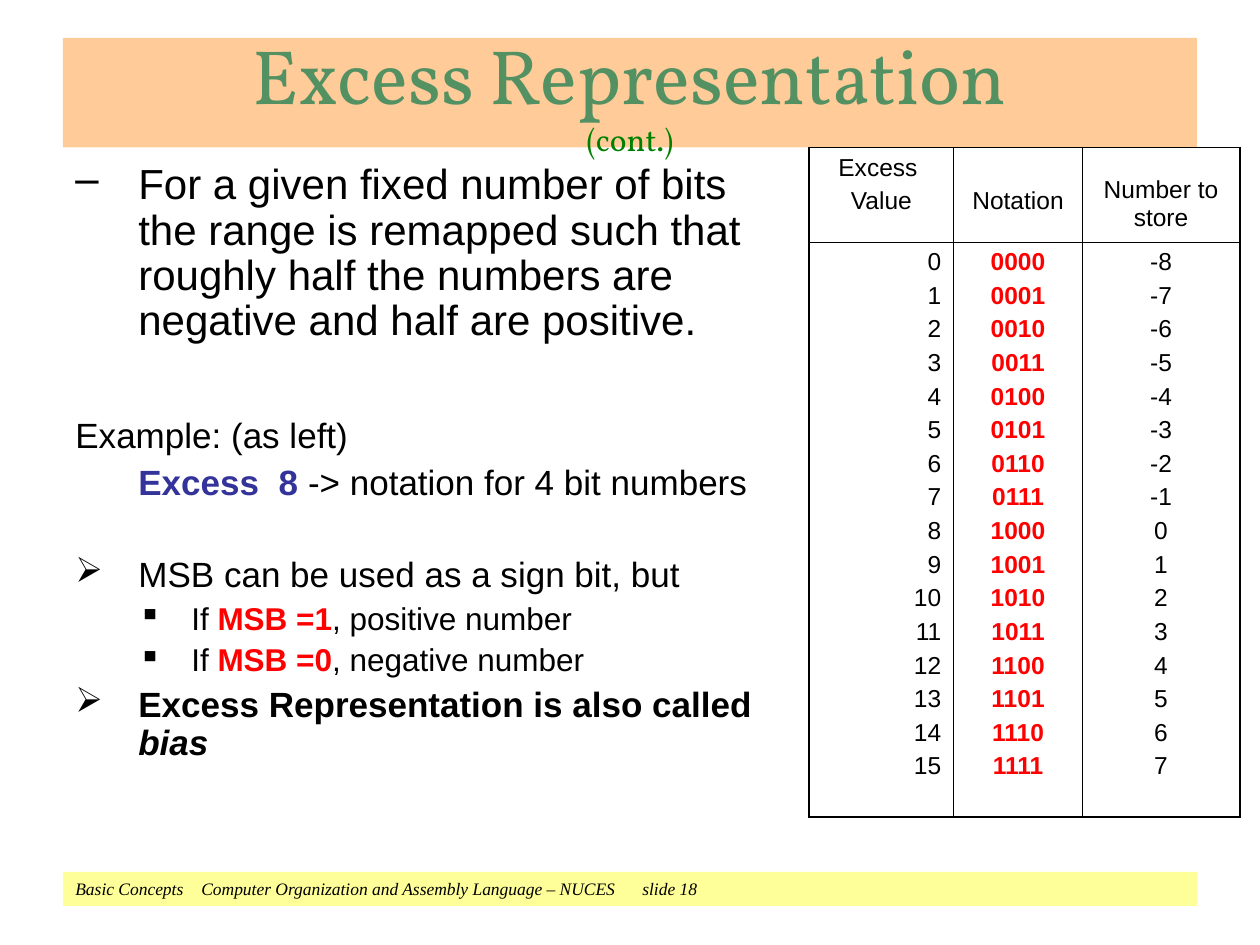
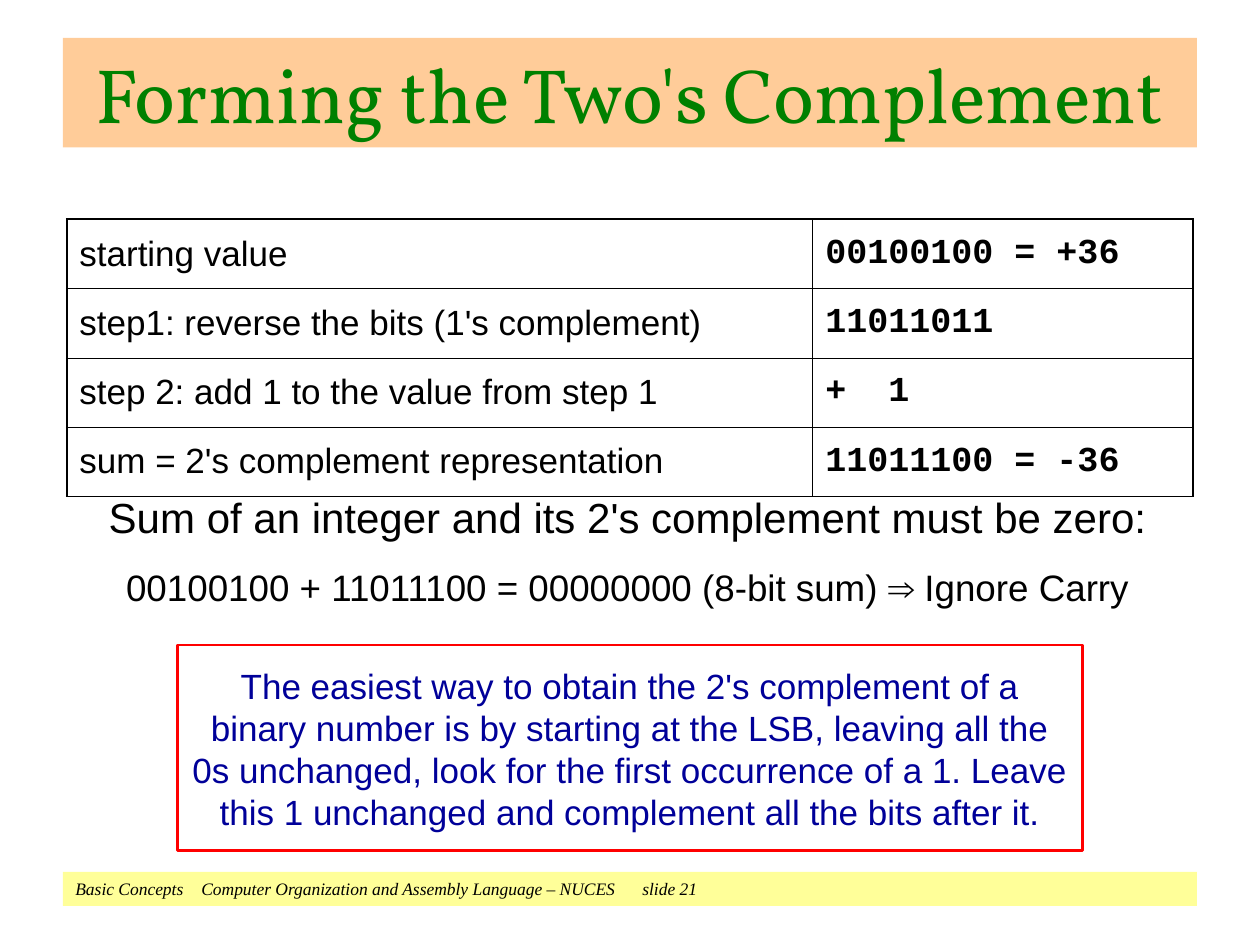
from dataclasses import dataclass
from typing import Any, Optional

import lxml.etree
import pptx
import pptx.dml.color
import pptx.enum.shapes
import pptx.enum.text
import pptx.oxml.ns
import pptx.util

ALIGN = pptx.enum.text.PP_ALIGN
ANCHOR = pptx.enum.text.MSO_ANCHOR
GRID_COLS, GRID_ROWS = 100, 75
SLIDE_W, SLIDE_H = pptx.util.Inches(10), pptx.util.Inches(7.5)


@dataclass(frozen=True)
class Theme:
    black: str = "000000"
    red: str = "FF0000"
    green: str = "008000"
    sage: str = "539163"
    indigo: str = "333399"
    navy: str = "000099"
    title_band: str = "FFCC99"
    footer_band: str = "FFFF99"
    body_font: str = "Arial"
    title_font: str = "Vollkorn"
    footer_font: str = "Times New Roman"
    code_font: str = "Courier New"
    title: float = 44
    lead: float = 24
    equation: float = 21
    body: float = 20
    detail: float = 18
    cell: float = 14
    footer: float = 10
    outer_rule: float = 1.08
    inner_rule: float = 0.45


THEME = Theme()


@dataclass(frozen=True)
class Box:
    """Place and size in grid columns and rows."""
    col: float
    row: float
    cols: float
    rows: float

    def lengths(self) -> tuple[int, int, int, int]:
        return cols(self.col), rows(self.row), cols(self.cols), rows(self.rows)


@dataclass(frozen=True)
class Run:
    text: str
    color: str = THEME.black
    bold: bool = False
    italic: bool = False


@dataclass(frozen=True)
class Para:
    """Margin, indent and tabs are in grid columns, before is in points."""
    runs: tuple[Run, ...]
    size: float = THEME.body
    font: str = THEME.body_font
    align: Any = ALIGN.LEFT
    before: float = 0
    spacing: Optional[float] = None
    bullet: str = ""
    margin: float = 0
    indent: float = 0
    tabs: tuple[float, ...] = ()


@dataclass(frozen=True)
class Cell:
    paras: tuple[Para, ...]
    anchor: Any = ANCHOR.TOP
    top: float = 0.5


TITLE_BOX = Box(5, 3, 90, 8.7)
FOOTER_BOX = Box(5, 69.2, 90, 2.7)


def cols(n: float) -> int:
    return round(SLIDE_W * n / GRID_COLS)


def rows(n: float) -> int:
    return round(SLIDE_H * n / GRID_ROWS)


def rgb(color: str) -> pptx.dml.color.RGBColor:
    return pptx.dml.color.RGBColor.from_string(color)


def add_xml(parent: Any, tag: str, **attrs: Any) -> Any:
    return lxml.etree.SubElement(parent, pptx.oxml.ns.qn(tag),
                                 {k: str(v) for k, v in attrs.items()})


def write(tf: Any, paras: tuple[Para, ...]) -> None:
    for i, para in enumerate(paras):
        p = tf.paragraphs[0] if i == 0 else tf.add_paragraph()
        pPr = p._p.get_or_add_pPr()
        pPr.set("marL", str(cols(para.margin)))
        pPr.set("indent", str(cols(para.indent)))
        if para.bullet:
            add_xml(add_xml(pPr, "a:buClr"), "a:srgbClr", val=THEME.black)
            add_xml(pPr, "a:buChar", char=para.bullet)
        else:
            add_xml(pPr, "a:buNone")
        if para.tabs:
            tab_list = add_xml(pPr, "a:tabLst")
            for tab in para.tabs:
                add_xml(tab_list, "a:tab", pos=cols(tab), algn="l")
        p.alignment = para.align
        p.space_before = pptx.util.Pt(para.before)
        if para.spacing:
            p.line_spacing = para.spacing
        for run in para.runs:
            r = p.add_run()
            r.text = run.text
            r.font.name = para.font
            r.font.size = pptx.util.Pt(para.size)
            r.font.bold, r.font.italic = run.bold, run.italic
            r.font.color.rgb = rgb(run.color)


def add_text(slide: Any, box: Box, paras: tuple[Para, ...], inset: float = 0.5) -> None:
    tf = slide.shapes.add_textbox(*box.lengths()).text_frame
    tf.word_wrap = True
    tf.margin_top = tf.margin_bottom = rows(inset)
    write(tf, paras)


def add_panel(slide: Any, box: Box, paras: tuple[Para, ...], fill: str = "",
              line: str = "", anchor: Any = ANCHOR.TOP, inset: float = 0.5) -> None:
    sp = slide.shapes.add_shape(pptx.enum.shapes.MSO_SHAPE.RECTANGLE, *box.lengths())
    sp.shadow.inherit = False
    if fill:
        sp.fill.solid()
        sp.fill.fore_color.rgb = rgb(fill)
    else:
        sp.fill.background()
    if line:
        sp.line.color.rgb = rgb(line)
        sp.line.width = pptx.util.Pt(1.5)
    else:
        sp.line.fill.background()
    tf = sp.text_frame
    tf.word_wrap = True
    tf.vertical_anchor = anchor
    tf.margin_top = tf.margin_bottom = rows(inset)
    write(tf, paras)


def add_grid_table(slide: Any, box: Box, widths: tuple[float, ...],
                   heights: tuple[float, ...], cells: list[list[Cell]]) -> None:
    """Unfilled table with heavier rules around the outside."""
    table = slide.shapes.add_table(len(heights), len(widths), *box.lengths()).table
    table.first_row = table.horz_banding = False
    for column, width in zip(table.columns, widths):
        column.width = cols(width)
    for table_row, height in zip(table.rows, heights):
        table_row.height = rows(height)
    last_row, last_col = len(heights) - 1, len(widths) - 1
    for i, line in enumerate(cells):
        for j, content in enumerate(line):
            cell = table.cell(i, j)
            cell.vertical_anchor = content.anchor
            cell.margin_top, cell.margin_bottom = rows(content.top), rows(0.5)
            cell.margin_left = cell.margin_right = cols(1)
            write(cell.text_frame, content.paras)
            tcPr = cell._tc.get_or_add_tcPr()
            outer = {"L": j == 0, "R": j == last_col, "T": i == 0, "B": i == last_row}
            for side, is_outer in outer.items():
                width = THEME.outer_rule if is_outer else THEME.inner_rule
                ln = add_xml(tcPr, f"a:ln{side}", w=int(pptx.util.Pt(width)))
                add_xml(add_xml(ln, "a:solidFill"), "a:srgbClr", val=THEME.black)
            cell.fill.background()


def add_framed_slide(prs: Any, number: int, title: tuple[Para, ...]) -> Any:
    """Blank slide with the footer band and title band."""
    slide = prs.slides.add_slide(prs.slide_layouts[6])
    footer = ("Basic Concepts\tComputer Organization and Assembly Language – NUCES"
              f"\tslide {number}")
    add_panel(slide, FOOTER_BOX, (
        Para((Run(footer, italic=True),), THEME.footer, THEME.footer_font,
             tabs=(10, 50.3)),), fill=THEME.footer_band)
    add_panel(slide, TITLE_BOX, title, fill=THEME.title_band, anchor=ANCHOR.MIDDLE)
    return slide


def title_line(text: str, color: str, size: float = THEME.title) -> Para:
    return Para((Run(text, color),), size, THEME.title_font, ALIGN.CENTER)


def outline(*runs: Run, **options: Any) -> Para:
    return Para(runs, **{"before": 5, "spacing": 0.9, "margin": 10, "indent": -5, **options})


def sign_rule(bit: str, meaning: str) -> Para:
    return outline(Run("If "), Run(f"MSB ={bit}", THEME.red, bold=True),
                   Run(f", {meaning} number"), size=THEME.detail, before=4.5,
                   bullet="▪", margin=14.2, indent=-4.2)


def stack(texts: list[str], align: Any = ALIGN.CENTER, color: str = THEME.black,
          bold: bool = False, top: float = 0.5) -> Cell:
    """Cell with one paragraph for each text."""
    return Cell(tuple(Para((Run(t, color, bold),), THEME.cell, align=align,
                           before=3.5 if i else 0) for i, t in enumerate(texts)), top=top)


def build_excess(prs: Any) -> None:
    slide = add_framed_slide(prs, 18, (
        title_line("Excess Representation", THEME.sage),
        title_line("(cont.)", THEME.green, THEME.detail)))
    add_text(slide, Box(0, 12.5, 61.7, 53.6), (
        outline(Run("For a given fixed number of bits the range is remapped such that "
                    "roughly half the numbers are negative and half are positive."),
                size=THEME.lead, before=0, bullet="–"),
        outline(Run("Example: (as left)"), before=42),
        outline(Run("Excess  8 ", THEME.indigo, bold=True),
                Run("-> notation for 4 bit numbers"), indent=0),
        outline(Run("MSB can be used as a sign bit, but"), before=31, bullet="➢"),
        sign_rule("1", "positive"),
        sign_rule("0", "negative"),
        outline(Run("Excess Representation is also called ", bold=True),
                Run("bias", bold=True, italic=True), bullet="➢")))
    bits, excess = 4, 8
    values = range(2 ** bits)
    add_grid_table(slide, Box(64.2, 11.7, 34.2, 53.1), (11.5, 10.2, 12.5), (7.5, 45.6), [
        [stack(["Excess ", "Value"]), stack(["Notation"], top=3.2),
         stack(["Number to store"], top=2.3)],
        [stack([str(v) for v in values], ALIGN.RIGHT),
         stack([f"{v:0{bits}b}" for v in values], color=THEME.red, bold=True),
         stack([str(v - excess) for v in values])]])


def build_complement(prs: Any) -> None:
    slide = add_framed_slide(prs, 21, (
        title_line("Forming the Two's Complement", THEME.green),))
    add_text(slide, Box(6.7, 37.5, 86.2, 12.3), (
        Para((Run("Sum of an integer and its 2's complement must be zero:"),),
             THEME.lead, align=ALIGN.CENTER),
        Para((Run("00100100 + 11011100 = 00000000 (8-bit sum) ⇒ Ignore Carry"),),
             THEME.equation, align=ALIGN.CENTER, before=13.1)), inset=1.5)
    add_panel(slide, Box(14.1, 51.2, 71.8, 16.3), (
        Para((Run("The easiest way to obtain the 2's complement of a binary number is by "
                  "starting at the LSB, leaving all the 0s unchanged, look for the first "
                  "occurrence of a 1. Leave this 1 unchanged and complement all the bits "
                  "after it.", THEME.navy),), align=ALIGN.CENTER),),
        line=THEME.red, inset=1.5)
    steps = (("starting value", "00100100 = +36"),
             ("step1: reverse the bits (1's complement)", "11011011"),
             ("step 2: add 1 to the value from step 1", "+\t1"),
             ("sum = 2's complement representation", "11011100 = -36"))
    add_grid_table(slide, Box(5.3, 17.4, 89.4, 22), (59.2, 30.2), (5.5,) * len(steps), [
        [Cell((Para((Run(step),)),), ANCHOR.MIDDLE),
         Cell((Para((Run(value, bold=True),), font=THEME.code_font, tabs=(11.7,)),),
              ANCHOR.MIDDLE)] for step, value in steps])


def main() -> None:
    prs = pptx.Presentation()
    prs.slide_width, prs.slide_height = SLIDE_W, SLIDE_H
    build_excess(prs)
    build_complement(prs)
    prs.save("out.pptx")


if __name__ == "__main__":
    main()
